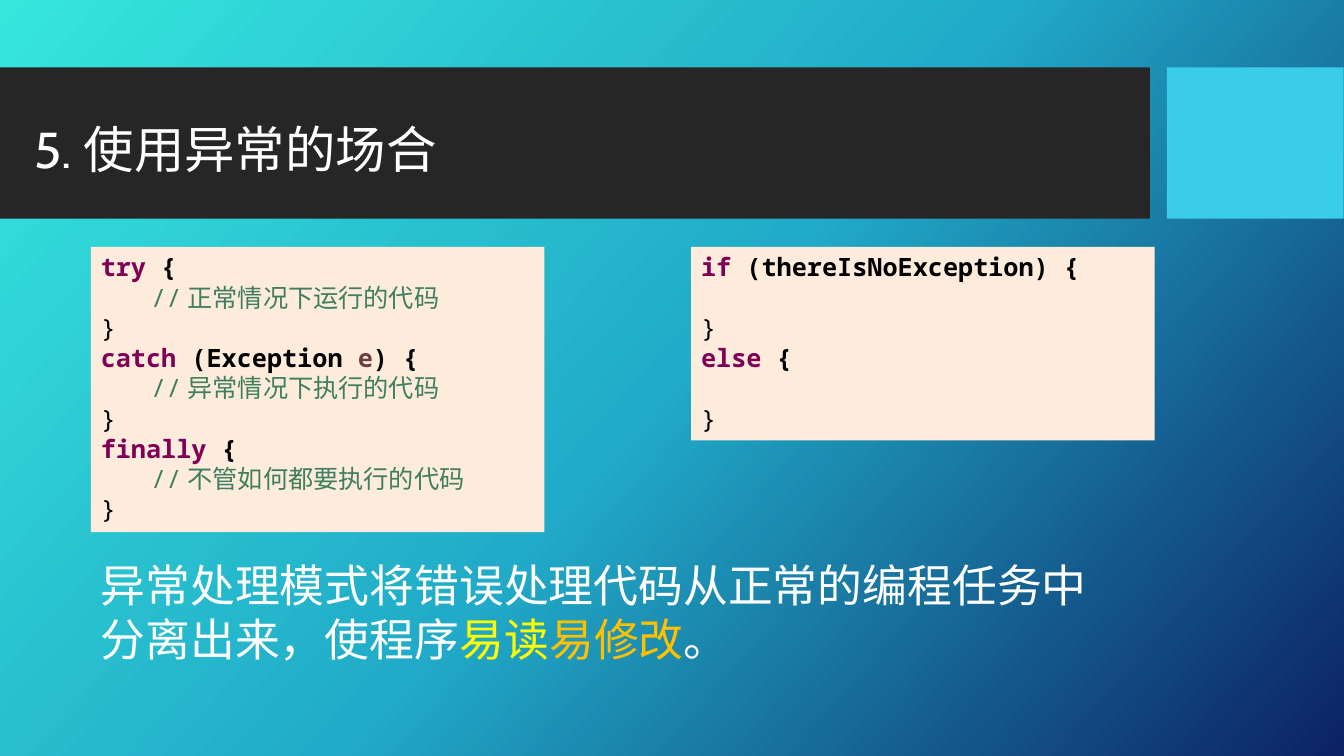
import copy

import pptx
import pptx.dml.color
import pptx.enum.shapes
import pptx.enum.text
import pptx.oxml
import pptx.oxml.ns
import pptx.util

Cm = pptx.util.Cm
Pt = pptx.util.Pt
RGBColor = pptx.dml.color.RGBColor

WHITE = RGBColor(0xFF, 0xFF, 0xFF)
BLACK = RGBColor(0x00, 0x00, 0x00)
YELLOW = RGBColor(0xFF, 0xFF, 0x00)
ORANGE = RGBColor(0xFF, 0xC0, 0x00)
CHARCOAL = RGBColor(0x26, 0x26, 0x26)
CYAN = RGBColor(0x39, 0xCD, 0xE7)
PEACH = RGBColor(0xFD, 0xEB, 0xDC)
KEYWORD = RGBColor(0x7F, 0x00, 0x55)
COMMENT = RGBColor(0x3F, 0x7F, 0x5F)
VARIABLE = RGBColor(0x6A, 0x3E, 0x3E)
GRADIENT = [
    (0, RGBColor(0x36, 0xE6, 0xDD)),
    (0.5, RGBColor(0x21, 0xAB, 0xC8)),
    (1, RGBColor(0x0C, 0x22, 0x63)),
]
CODE_LINE = Pt(21.84)


def add_panel(left, top, width, height, color):
    panel = slide.shapes.add_shape(
        pptx.enum.shapes.MSO_SHAPE.RECTANGLE, Cm(left), Cm(top), Cm(width), Cm(height))
    panel.shadow.inherit = False
    panel.fill.solid()
    panel.fill.fore_color.rgb = color
    panel.line.fill.background()
    return panel


def write_line(paragraph, pieces, font_name, size):
    paragraph.alignment = pptx.enum.text.PP_ALIGN.LEFT
    paragraph.font.name = font_name
    paragraph.font.size = Pt(size)
    for text, color, bold in pieces:
        run = paragraph.add_run()
        run.text = text
        run.font.color.rgb = color
        run.font.bold = bold


deck = pptx.Presentation()
deck.slide_width = Cm(33.87)
deck.slide_height = Cm(19.05)
slide = deck.slides.add_slide(deck.slide_layouts[6])

backdrop = slide.background.fill
backdrop.gradient()
backdrop.gradient_angle = 318
stop_list = slide.element.find(".//" + pptx.oxml.ns.qn("a:gsLst"))
stop_list.insert(1, copy.deepcopy(stop_list[0]))
for stop, (position, color) in zip(backdrop.gradient_stops, GRADIENT):
    stop.position = position
    stop.color.rgb = color

add_panel(0, 1.7, 28.98, 3.81, CHARCOAL)
add_panel(29.41, 1.7, 4.45, 3.81, CYAN)

title = slide.shapes.add_textbox(Cm(0.61), Cm(2.57), Cm(23.72), Cm(2.54)).text_frame
title.word_wrap = True
title.vertical_anchor = pptx.enum.text.MSO_ANCHOR.MIDDLE
title.paragraphs[0].line_spacing = 0.9
write_line(title.paragraphs[0], [("5.使用异常的场合", WHITE, False)], "Cabin", 36)

closing = [("}", BLACK, False)]
exception_code = [
    [("try", KEYWORD, True), (" {", BLACK, True)],
    [("\t//正常情况下运行的代码", COMMENT, False)],
    closing,
    [("catch", KEYWORD, True), (" (Exception ", BLACK, True),
     ("e", VARIABLE, True), (") {", BLACK, True)],
    [("\t//异常情况下执行的代码", COMMENT, False)],
    closing,
    [("finally", KEYWORD, True), (" {", BLACK, True)],
    [("\t//不管如何都要执行的代码", COMMENT, False)],
    closing,
]
condition_code = [
    [("if", KEYWORD, True), (" (thereIsNoException) {", BLACK, True)],
    closing,
    [("else", KEYWORD, True), (" {", BLACK, True)],
    closing,
]
listings = [
    (2.29, 11.43, 7.19, exception_code, 0),
    (17.42, 11.68, 4.88, condition_code, CODE_LINE),
]
for left, width, height, code, gap_before_closing in listings:
    listing = add_panel(left, 6.22, width, height, PEACH).text_frame
    listing.word_wrap = True
    listing.vertical_anchor = pptx.enum.text.MSO_ANCHOR.TOP
    listing.auto_size = pptx.enum.text.MSO_AUTO_SIZE.SHAPE_TO_FIT_TEXT
    for number, pieces in enumerate(code):
        line = listing.add_paragraph() if number else listing.paragraphs[0]
        write_line(line, pieces, "Noto Sans Mono", 18)
        if pieces is closing:
            line.space_before = gap_before_closing
        if pieces[0][0].startswith("\t"):
            tabs = pptx.oxml.parse_xml(
                f'<a:tabLst {pptx.oxml.ns.nsdecls("a")}>'
                f'<a:tab pos="{Cm(1.27)}" algn="l"/></a:tabLst>')
            line.font
            properties = line._p.get_or_add_pPr()
            properties.find(pptx.oxml.ns.qn("a:defRPr")).addprevious(tabs)

summary = slide.shapes.add_textbox(Cm(2.29), Cm(13.94), Cm(25.91), Cm(3)).text_frame
summary.word_wrap = True
summary.auto_size = pptx.enum.text.MSO_AUTO_SIZE.SHAPE_TO_FIT_TEXT
write_line(summary.paragraphs[0], [
    ("异常处理模式将错误处理代码从正常的编程任务中分离出来，使程序", WHITE, False),
    ("易读", YELLOW, False),
    ("易修改", ORANGE, False),
    ("。", WHITE, False),
], "Cabin", 32)

deck.save("out.pptx")
